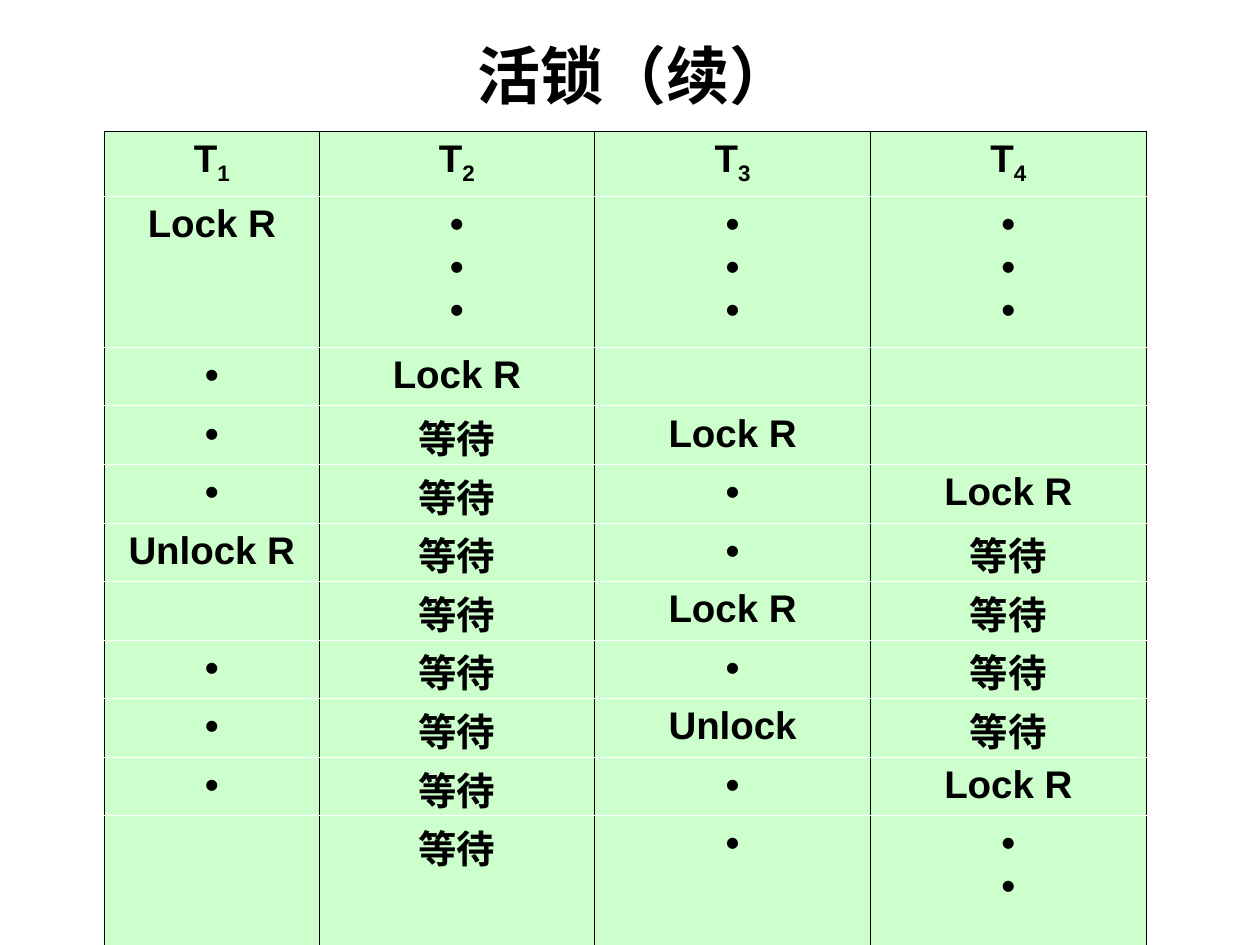
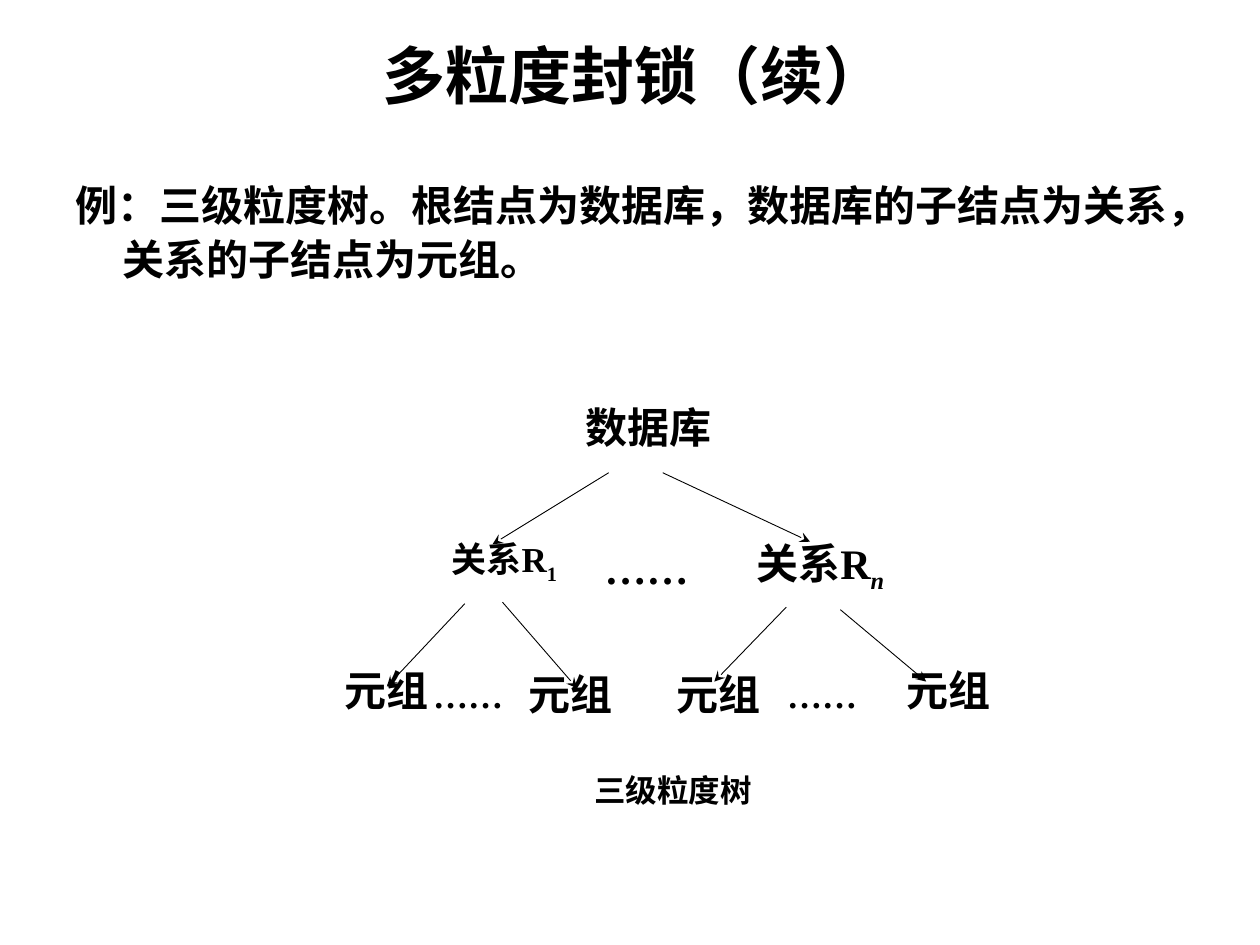
import dataclasses

import lxml.etree
import pptx
import pptx.dml.color
import pptx.enum.shapes
import pptx.enum.text
import pptx.oxml.ns
import pptx.util

Cm = pptx.util.Cm
Pt = pptx.util.Pt
qn = pptx.oxml.ns.qn
ALIGN = pptx.enum.text.PP_ALIGN
ANCHOR = pptx.enum.text.MSO_ANCHOR


# Theme
@dataclasses.dataclass(frozen=True)
class Theme:
    ink: str = "000000"
    paper: str = "FFFFFF"
    cell: str = "CCFFCC"
    sans: str = "Arial"
    serif: str = "Times New Roman"
    chinese: str = "Noto Sans CJK SC"
    title: int = 36
    body: int = 24
    table: int = 22
    small: int = 20
    caption: int = 18
    cell_line: float = 0.45
    arrow_line: float = 0.5
    title_box: tuple = (2.54, 0.71, 20.52, 1.57)


THEME = Theme()

# Content: livelock schedule, one row per step; a cell is a list of lines
DOT, WAIT, LOCK = "•", "等待", "Lock R"
LIVELOCK_TITLE = "活锁（续）"
TRANSACTIONS = ["1", "2", "3", "4"]
SCHEDULE = [
    [[LOCK], [DOT] * 3, [DOT] * 3, [DOT] * 3],
    [[DOT], [LOCK], [], []],
    [[DOT], [WAIT], [LOCK], []],
    [[DOT], [WAIT], [DOT], [LOCK]],
    [["Unlock R"], [WAIT], [DOT], [WAIT]],
    [[], [WAIT], [LOCK], [WAIT]],
    [[DOT], [WAIT], [DOT], [WAIT]],
    [[DOT], [WAIT], ["Unlock"], [WAIT]],
    [[DOT], [WAIT], [DOT], [LOCK]],
    [[], [WAIT], [DOT], [DOT] * 2],
]
TABLE_ORIGIN = (2.11, 2.64)
COLUMN_WIDTHS = [4.32] + [5.56] * 3
ROW_HEIGHTS = [1.31, 3.05] + [1.18] * 8 + [3.05]

# Content: granularity tree; boxes are left, top, width, height in cm
TREE_TITLE = "多粒度封锁（续）"
EXAMPLE = "例：三级粒度树。根结点为数据库，数据库的子结点为关系，关系的子结点为元组。"
EXAMPLE_BOX = (1.27, 3.43, 22.86, 13.44)
NODES = [
    ([("数据库", "")], THEME.body, (11.25, 8.1, 3.66, 1.63)),
    ([("关系R", ""), ("n", "sub italic")], THEME.body, (14.68, 10.74, 3.71, 1.45)),
    ([("关系R", ""), ("1", "sub")], THEME.small, (8.03, 10.74, 4.27, 2.31)),
    ([("元组", "")], THEME.body, (6.35, 13.41, 2.9, 1.5)),
    ([("元组", "")], THEME.body, (17.3, 13.41, 3.66, 1.68)),
    ([("元组", "")], THEME.body, (10.06, 13.49, 2.9, 1.5)),
    ([("元组", "")], THEME.body, (13.03, 13.49, 2.9, 1.5)),
    ([("三级粒度树", "")], THEME.caption, (10.77, 15.52, 5.59, 1.02)),
]
ELLIPSES = [
    (THEME.body, (11.94, 10.82, 3.71, 1.22)),
    (THEME.small, (15.62, 13.46, 3.05, 1.22)),
    (THEME.small, (8.48, 13.46, 3.05, 1.22)),
]
ARROWS = [
    (12.27, 9.53, 9.93, 10.97),
    (13.36, 9.53, 16.33, 10.92),
    (9.37, 12.17, 7.8, 13.84),
    (10.13, 12.14, 11.63, 13.87),
    (15.85, 12.24, 14.4, 13.74),
    (16.94, 12.29, 18.67, 13.74),
]


# Shared helpers
def color(value):
    return pptx.dml.color.RGBColor.from_string(value)


def lengths(values):
    return [Cm(value) for value in values]


def add_run(paragraph, text, size, latin=THEME.sans, chinese=THEME.chinese, style=""):
    run = paragraph.add_run()
    run.text = text
    run.font.size = Pt(size)
    run.font.bold = True
    run.font.color.rgb = color(THEME.ink)
    run.font.name = latin
    properties = run._r.get_or_add_rPr()
    lxml.etree.SubElement(properties, qn("a:ea"), typeface=chinese)
    if "sub" in style:
        properties.set("baseline", "-25000")
    if "italic" in style:
        run.font.italic = True


def add_titled_slide(presentation, title):
    slide = presentation.slides.add_slide(presentation.slide_layouts[5])
    shape = slide.shapes.title
    shape.left, shape.top, shape.width, shape.height = lengths(THEME.title_box)
    shape.text_frame.vertical_anchor = ANCHOR.MIDDLE
    paragraph = shape.text_frame.paragraphs[0]
    paragraph.alignment = ALIGN.CENTER
    add_run(paragraph, title, THEME.title)
    return slide


def add_text_box(slide, box, alignment, line_spacing):
    frame = slide.shapes.add_textbox(*lengths(box)).text_frame
    frame.word_wrap = True
    paragraph = frame.paragraphs[0]
    paragraph.alignment = alignment
    paragraph.line_spacing = line_spacing
    return paragraph


# Table
def style_cell(cell, is_first, is_last):
    top = THEME.ink if is_first else THEME.paper
    bottom = THEME.ink if is_last else THEME.paper
    properties = cell._tc.get_or_add_tcPr()
    sides = {"a:lnL": THEME.ink, "a:lnR": THEME.ink, "a:lnT": top, "a:lnB": bottom}
    for tag, value in sides.items():
        line = lxml.etree.SubElement(properties, qn(tag), w=str(Pt(THEME.cell_line)))
        fill = lxml.etree.SubElement(line, qn("a:solidFill"))
        lxml.etree.SubElement(fill, qn("a:srgbClr"), val=value)
    cell.fill.solid()
    cell.fill.fore_color.rgb = color(THEME.cell)
    cell.margin_left = cell.margin_right = Cm(0.18)
    cell.margin_top = cell.margin_bottom = Cm(0.13)


def fill_cell(cell, lines):
    for index, runs in enumerate(lines):
        frame = cell.text_frame
        paragraph = frame.add_paragraph() if index else frame.paragraphs[0]
        paragraph.alignment = ALIGN.CENTER
        for text, style in runs:
            add_run(paragraph, text, THEME.table, style=style)
            if text == WAIT:  # keeps the taller Chinese line inside its row
                paragraph.line_spacing = 0.9
                cell.margin_top, cell.margin_bottom = Cm(0.16), Cm(0)


def add_schedule(slide):
    header = [[[("T", ""), (number, "sub")]] for number in TRANSACTIONS]
    steps = [[[[(line, "")] for line in cell] for cell in row] for row in SCHEDULE]
    rows = [header] + steps
    size = (sum(COLUMN_WIDTHS), sum(ROW_HEIGHTS))
    table = slide.shapes.add_table(
        len(rows), len(COLUMN_WIDTHS), *lengths(TABLE_ORIGIN + size)
    ).table
    table.first_row = table.horz_banding = False
    for column, width in zip(table.columns, COLUMN_WIDTHS):
        column.width = Cm(width)
    for row_index, (row, height) in enumerate(zip(rows, ROW_HEIGHTS)):
        table.rows[row_index].height = Cm(height)
        for column_index, lines in enumerate(row):
            cell = table.cell(row_index, column_index)
            style_cell(cell, row_index == 0, row_index == len(rows) - 1)
            fill_cell(cell, lines)


# Tree
def add_arrow(slide, ends):
    connector = slide.shapes.add_connector(
        pptx.enum.shapes.MSO_CONNECTOR.STRAIGHT, *lengths(ends)
    )
    connector.line.color.rgb = color(THEME.ink)
    connector.line.width = Pt(THEME.arrow_line)
    line = connector.line._get_or_add_ln()
    lxml.etree.SubElement(line, qn("a:tailEnd"), type="stealth")
    lxml.etree.SubElement(connector._element.spPr, qn("a:effectLst"))


def add_tree(slide):
    for ends in ARROWS:
        add_arrow(slide, ends)
    for runs, size, box in NODES:
        paragraph = add_text_box(slide, box, ALIGN.CENTER, 0.88)
        for text, style in runs:
            add_run(paragraph, text, size, THEME.serif, style=style)
    for size, box in ELLIPSES:
        paragraph = add_text_box(slide, box, ALIGN.LEFT, 1.0)
        add_run(paragraph, "……", size, THEME.serif, THEME.serif)


def add_example(slide):
    paragraph = add_text_box(slide, EXAMPLE_BOX, ALIGN.LEFT, 1.07)
    properties = paragraph._p.get_or_add_pPr()
    properties.set("marL", str(Cm(0.96)))
    properties.set("indent", str(-Cm(0.96)))
    add_run(paragraph, EXAMPLE, THEME.body)


def main():
    presentation = pptx.Presentation()
    presentation.slide_width, presentation.slide_height = Cm(25.4), Cm(19.05)
    add_schedule(add_titled_slide(presentation, LIVELOCK_TITLE))
    tree_slide = add_titled_slide(presentation, TREE_TITLE)
    add_example(tree_slide)
    add_tree(tree_slide)
    presentation.save("out.pptx")


if __name__ == "__main__":
    main()
